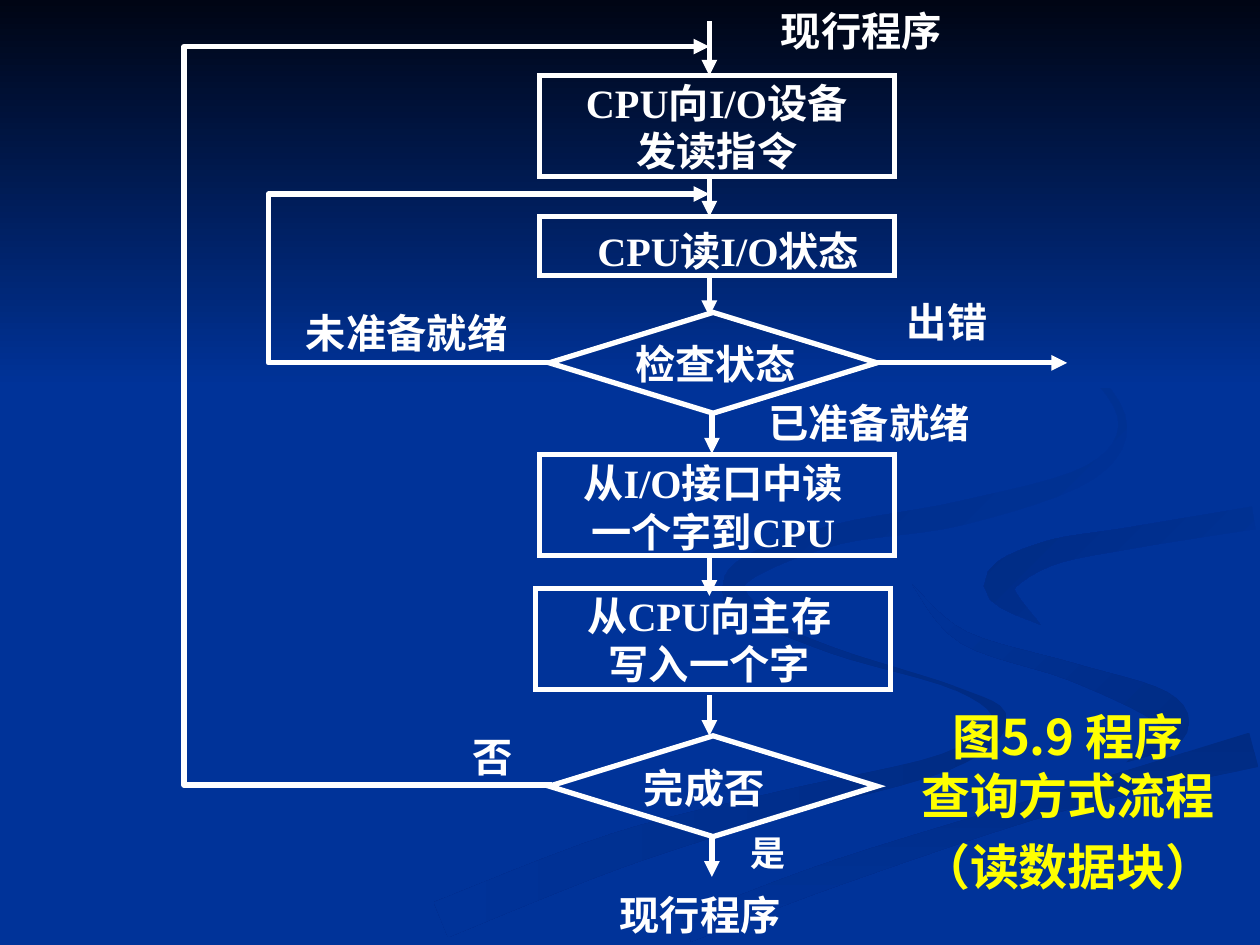
"""Build a flowchart slide of program-polled input of a data block."""
from math import hypot

from lxml import etree
from pptx import Presentation
from pptx.dml.color import RGBColor
from pptx.enum import shapes as kinds, text as txt
from pptx.oxml.ns import qn
from pptx.util import Inches, Pt

WHITE = RGBColor(0xFF, 0xFF, 0xFF)
YELLOW = RGBColor(0xFF, 0xFF, 0x00)
BLUE = RGBColor(0x00, 0x33, 0x99)
NIGHT = RGBColor(0x00, 0x05, 0x14)
DUSK = RGBColor(0x00, 0x2B, 0x83)
SERIF = "Times New Roman"
SANS = "Noto Sans CJK SC"
LEFT, MID = txt.PP_ALIGN.LEFT, txt.PP_ALIGN.CENTER
BOX, GEM = kinds.MSO_SHAPE.RECTANGLE, kinds.MSO_SHAPE.DIAMOND
AXIS = 5.63
CORE = 5.65
TALL = 0.8
ROW = 0.49


def spline(knots, parts=6):
    """Return points of a smooth curve through knots of any dimension."""
    ends = [knots[0], *knots, knots[-1]]
    curve = []
    for quad in zip(ends, ends[1:], ends[2:], ends[3:]):
        for t in (part / parts for part in range(parts)):
            curve.append([b + t / 2 * (c - a + t * (2 * a - 5 * b + 4 * c - d
                          + t * (3 * b - 3 * c + d - a)))
                          for a, b, c, d in zip(*quad)])
    return curve + [list(knots[-1])]


def trace(slide, points, close):
    """Return a freeform through points given in inches."""
    spots = [(Inches(x), Inches(y)) for x, y in points]
    pen = slide.shapes.build_freeform(*spots[0])
    pen.add_line_segments(spots[1:], close=close)
    form = pen.convert_to_shape()
    form.shadow.inherit = False
    return form


def blend(shape, start, end, angle):
    """Fill a shape with a two-colour gradient and no outline."""
    shape.line.fill.background()
    shape.fill.gradient()
    shape.fill.gradient_angle = angle
    for stop, tint in zip(shape.fill.gradient_stops, (start, end)):
        stop.color.rgb = tint


def ribbon(slide, start, end, angle, *knots):
    """Add a curved band; each knot gives the x, y and width of its spine."""
    curve = spline(knots)
    upper, lower = [], []
    for prev, (x, y, wide), after in zip(
            curve[:1] + curve, curve, curve[1:] + curve[-1:]):
        dx, dy = after[0] - prev[0], after[1] - prev[1]
        half = wide / 2 / hypot(dx, dy)
        upper.append((x + dy * half, y - dx * half))
        lower.append((x - dy * half, y + dx * half))
    blend(trace(slide, upper + lower[::-1], True), start, end, angle)


def scene(slide):
    """Paint the blue ground, its ribbons and the dark sky."""
    slide.background.fill.solid()
    slide.background.fill.fore_color.rgb = BLUE
    ribbon(slide, DUSK, BLUE, 180, (5.74, 4.6, 0), (5.85, 4.83, 0.05),
           (6.6, 5.16, 0.05), (7.6, 5.47, 0.03), (7.93, 5.72, 0.13),
           (7.5, 6.05, 0.14), (6.2, 6.38, 0.2), (4.9, 6.75, 0.28),
           (3.5, 7.3, 0.3))
    ribbon(slide, DUSK, BLUE, 135, (7.24, 4.64, 0), (7.65, 5.06, 0.1),
           (8.5, 5.33, 0.14), (9.2, 5.6, 0.25), (9.3, 5.82, 0.2),
           (8.94, 6.05, 0))
    ribbon(slide, DUSK, BLUE, 270, (9.95, 5.95, 0.28), (8.45, 6.35, 0.16),
           (6.66, 6.92, 0.2), (5.45, 7.38, 0.2))
    ribbon(slide, BLUE, DUSK, 135, (9.95, 4.11, 0.18), (8.97, 4.27, 0.17),
           (8.3, 4.4, 0.2), (7.93, 4.65, 0.24), (8.26, 4.96, 0))
    ribbon(slide, BLUE, DUSK, 135, (7.62, 2.33, 0), (8.4, 2.73, 0.05),
           (8.9, 3.3, 0.06), (8.65, 3.75, 0.12), (7.64, 4.07, 0.19),
           (6.65, 4.24, 0.16), (5.95, 4.5, 0.18), (5.85, 4.72, 0.15),
           (6.22, 5, 0))
    sky = slide.shapes.add_shape(BOX, 0, 0, Inches(10), Inches(3.08))
    sky.shadow.inherit = False
    blend(sky, NIGHT, BLUE, 270)


def stroke(line, tag, **traits):
    """Style a line in white and add its join or arrowhead element."""
    line.color.rgb = WHITE
    line.width = Pt(3)
    etree.SubElement(line._get_or_add_ln(), qn(tag), **traits)


def label(slide, words, x, y, w, h=ROW, size=23, face=SERIF, tint=WHITE,
          align=LEFT, gap=0, wrap=True):
    """Add a bold text box."""
    frame = slide.shapes.add_textbox(*map(Inches, (x, y, w, h))).text_frame
    frame.word_wrap = wrap
    frame.auto_size = txt.MSO_AUTO_SIZE.SHAPE_TO_FIT_TEXT
    frame.text = words
    for num, para in enumerate(frame.paragraphs):
        para.alignment = align
        para.space_before = Pt(gap if num else 0)
        for run in para.runs:
            font = run.font
            font.size, font.bold, font.name = Pt(size), True, face
            font.color.rgb = tint
            etree.SubElement(font._element, qn("a:ea"), typeface=SANS)


def step(slide, words, x, y, shift, drop, kind=BOX, w=2.82, h=TALL):
    """Add an outlined step; its caption is moved by shift and drop."""
    shape = slide.shapes.add_shape(kind, *map(Inches, (x, y, w, h)))
    shape.shadow.inherit = False
    shape.fill.background()
    stroke(shape.line, "a:miter", lim="800000")
    deep = 0.87 if "\n" in words else ROW
    label(slide, words, x + shift, y + drop, w - 0.1, deep, align=MID)


def arrow(slide, *ends):
    """Add a straight arrow."""
    link = slide.shapes.add_connector(
        kinds.MSO_CONNECTOR.STRAIGHT, *map(Inches, ends))
    stroke(link.line, "a:tailEnd", type="triangle")
    etree.SubElement(link._element.spPr, qn("a:effectLst"))


def loop(slide, x, low, left, top):
    """Add an arrow that goes left, up and back to the main axis."""
    form = trace(slide, [(x, low), (left, low), (left, top), (AXIS, top)], False)
    form.fill.background()
    stroke(form.line, "a:tailEnd", type="triangle")


def steps(slide):
    """Add the boxes and decisions from top to bottom."""
    step(slide, "CPU向I/O设备\n发读指令", 4.28, 0.6, 0.05, -0.03)
    step(slide, "CPU读I/O状态", 4.28, 1.72, 0.14, 0.03, h=0.47)
    step(slide, "检查状态", 4.36, 2.48, 0.07, 0.16, GEM, 2.6)
    step(slide, "从I/O接口中读\n一个字到CPU", 4.28, 3.61, 0.02, -0.02)
    step(slide, "从CPU向主存\n写入一个字", 4.25, 4.67, 0.02, -0.03)
    step(slide, "完成否", 4.36, 5.84, -0.02, 0.17, GEM, 2.6)


def flows(slide):
    """Add the arrows between steps and the two return loops."""
    for top in (1.4, 2.19, 4.41, 5.52):
        arrow(slide, AXIS, top, AXIS, top + 0.32)
    for top in (3.28, 6.64):
        arrow(slide, CORE, top, CORE, top + 0.32)
    arrow(slide, AXIS, 0.17, AXIS, 0.6)
    arrow(slide, 6.96, 2.88, 8.47, 2.88)
    loop(slide, 4.38, 2.88, 2.13, 1.54)
    loop(slide, 4.38, 6.23, 1.46, 0.37)


def notes(slide):
    """Add the branch labels, the start and end names and the title."""
    label(slide, "现行程序", 6.1, 0, 2.04)
    label(slide, "未准备就绪", 2.33, 2.4, 1.92)
    label(slide, "出错", 7.1, 2.31, 0.9)
    label(slide, "已准备就绪", 6, 3.11, 2.17)
    label(slide, "否", 3.65, 5.76, 0.8)
    label(slide, "是", 5.86, 6.55, 0.48, 0.44, size=20, wrap=False)
    label(slide, "现行程序", 4.82, 7.02, 2.01)
    label(slide, "图5.9 程序\v查询方式流程\n（读数据块）", 7.13, 5.56, 2.69, 1.6,
          size=28, face=SANS, tint=YELLOW, align=MID, gap=7)


def main():
    """Build and save the slide."""
    deck = Presentation()
    deck.slide_width, deck.slide_height = Inches(10), Inches(7.5)
    slide = deck.slides.add_slide(deck.slide_layouts[6])
    for build in (scene, steps, flows, notes):
        build(slide)
    deck.save("out.pptx")


if __name__ == "__main__":
    main()
